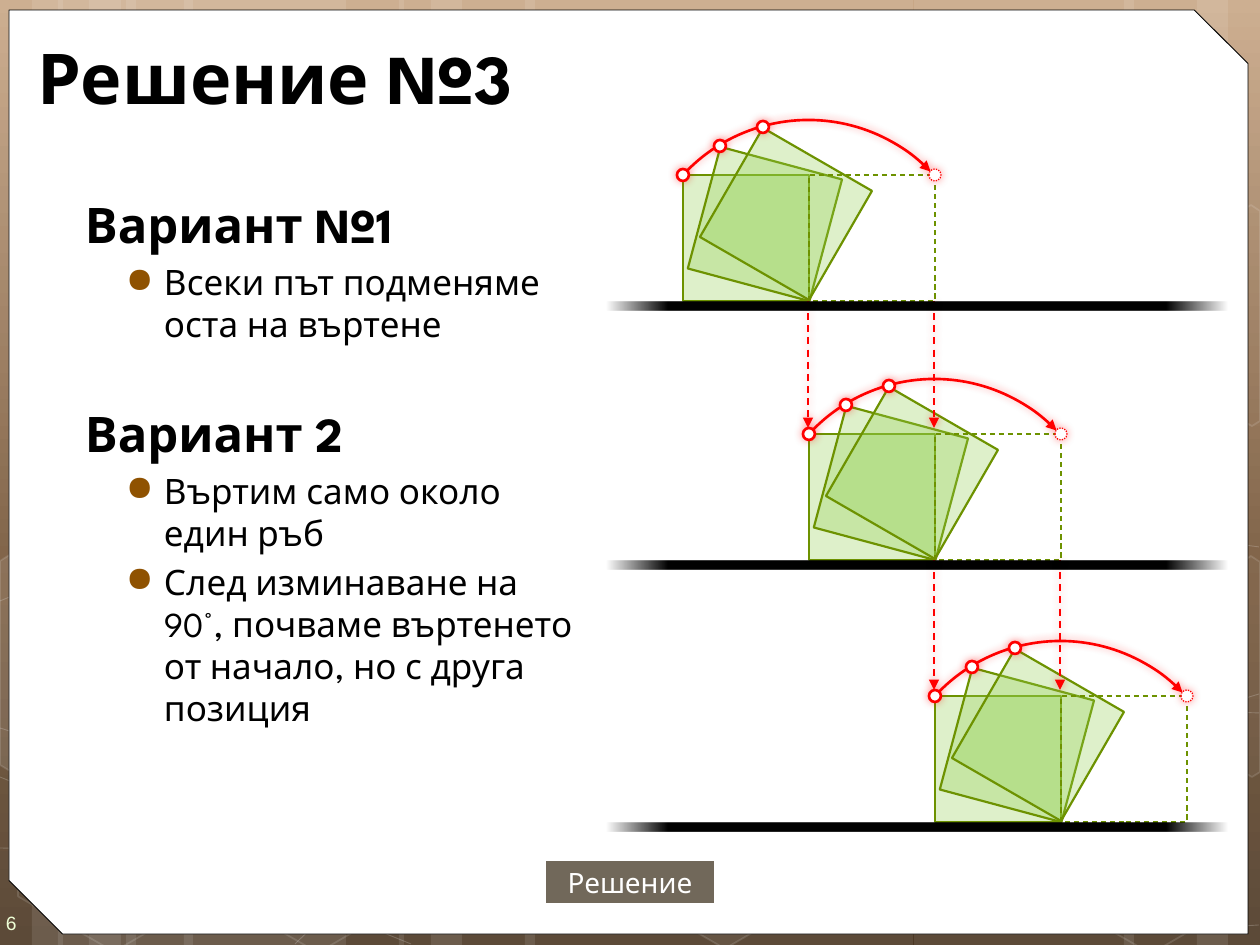
from lxml.etree import SubElement
from pptx import Presentation
from pptx.dml.color import RGBColor
from pptx.enum.dml import MSO_LINE as Dash
from pptx.enum.shapes import MSO_CONNECTOR, MSO_SHAPE as Kind
from pptx.enum.text import MSO_ANCHOR as Anchor, PP_ALIGN as Align
from pptx.oxml.ns import qn
from pptx.util import Pt

PX = 914400 / 126
WIDTH, HEIGHT = 1260, 945
FONT = "League Spartan"
BLACK, WHITE = RGBColor(0, 0, 0), RGBColor(255, 255, 255)
RED, OLIVE = RGBColor(255, 0, 0), RGBColor(0x6D, 0x92, 0)
GREEN, TAUPE = RGBColor(0x92, 0xD0, 0x50), RGBColor(0x71, 0x68, 0x5A)
BROWN, PALE = RGBColor(0x8F, 0x52, 0x01), RGBColor(0xEE, 0xFF, 0xD6)
SAND, BARK, UMBER = (RGBColor.from_string(c) for c in ("C8A685", "705032", "4A3622"))

TITLE = "Решение №3"
VARIANTS = [
    ("Вариант №1", ["Всеки път подменяме\vоста на въртене"]),
    ("Вариант 2", ["Въртим само около\vедин ръб",
                   "След изминаване на\v90°, почваме въртенето\vот начало, но с друга\vпозиция"]),
]
BUTTON = "Решение"
PAGE_NUMBER = "6"

# Backdrop: (left, width) of the strips, (left, top, opacity) of the hexagons
STRIPS = [(126, 220), (0, 63), (32, 104), (184, 220), (58, 63), (89, 104),
          (914, 220), (1197, 63), (1124, 104), (525, 388), (399, 63), (431, 104)]
HEXAGONS = [(615, 742, 6), (4, 745, 0), (208, 746, 0), (1041, 747, 0)]
CURVES = [
    [(0, 848), (229, 854), (567, 838), (987, 777), (1259, 694)],
    [(0, 601), (142, 543), (427, 488), (814, 488), (1259, 547)],
    [(0, 777), (411, 944)],
    [(0, 728), (151, 776), (438, 848), (781, 905), (1063, 927), (1181, 930), (1259, 925)],
    [(295, 944), (370, 871), (478, 805), (756, 728), (847, 717), (1106, 708), (1259, 713)],
]
LEFT_CUT = [(0, 561), (14, 552), (110, 607), (110, 718), (15, 774), (0, 765)]
RIGHT_CUT = [(1157, 611), (1251, 556), (1260, 562), (1260, 772), (1252, 777), (1155, 722)]
CUT_HEXAGONS = [(LEFT_CUT, 10), (RIGHT_CUT, 4), ([(x, y - 351) for x, y in RIGHT_CUT], 0)]

# Rolling square: top-left corner of each stage, then offsets from that corner
SIDE, DOT = 126, 12
STAGES = [(683 + SIDE * i, top) for i, top in enumerate((175, 434, 696))]
TILTS = [(0, 0, 0), (19, -14, 15), (40, -24, 30)]
CORNERS = [(0, 0), (37, -29), (80, -48)]


def emu(*lengths):
    return [round(length * PX) for length in lengths]


def set_alpha(color_parent, percent):
    SubElement(color_parent.find(".//" + qn("a:srgbClr")), qn("a:alpha"), val=str(percent * 1000))


def style(item, fill=None, line=None, weight=1, dash=None, opacity=100, line_opacity=100):
    if fill is None:
        item.fill.background()
    else:
        item.fill.solid()
        item.fill.fore_color.rgb = fill
        if opacity < 100:
            set_alpha(item.element.spPr.find(qn("a:solidFill")), opacity)
    style_line(item, line, weight, dash, line_opacity)
    item.shadow.inherit = False
    return item


def style_line(item, color, weight, dash=None, opacity=100):
    if color is None:
        item.line.fill.background()
        return
    item.line.color.rgb = color
    item.line.width = Pt(weight)
    if dash:
        item.line.dash_style = dash
    if opacity < 100:
        set_alpha(item.element.spPr.find(qn("a:ln")), opacity)


def add_box(shapes, kind, left, top, width, height, rotation=0, **look):
    item = shapes.add_shape(kind, *emu(left, top, width, height))
    item.rotation = rotation
    return style(item, **look)


def add_outline(shapes, points, close, **look):
    builder = shapes.build_freeform(*points[0], scale=PX)
    builder.add_line_segments(points[1:], close=close)
    return style(builder.convert_to_shape(), **look)


def add_glow(item):
    properties = item.element.spPr
    effects = properties.find(qn("a:effectLst"))
    if effects is None:
        effects = SubElement(properties, qn("a:effectLst"))
    glow = SubElement(effects, qn("a:outerShdw"), blurRad="63500", dist="0", dir="0", algn="ctr")
    SubElement(glow, qn("a:srgbClr"), val=str(RED))
    set_alpha(glow, 40)


def add_arrowhead(item, end):
    SubElement(item.element.spPr.find(qn("a:ln")), qn(end), type="triangle")


def make_gradient(solid, stops, angle):
    """Replace a solid fill element by stops of (position, colour, opacity)."""
    solid.tag, gradient = solid.tag, solid.makeelement(qn("a:gradFill"), rotWithShape="1")
    stop_list = SubElement(gradient, qn("a:gsLst"))
    for position, color, opacity in stops:
        stop = SubElement(stop_list, qn("a:gs"), pos=str(position * 1000))
        SubElement(stop, qn("a:srgbClr"), val=str(color))
        set_alpha(stop, opacity)
    SubElement(gradient, qn("a:lin"), ang=str(angle * 60000), scaled="0")
    solid.getparent().replace(solid, gradient)


def write(frame, text, size=20, color=BLACK, bold=False, font=FONT, align=Align.LEFT,
          before=0, margin=0, indent=0, bullet=None, first=True):
    paragraph = frame.paragraphs[0] if first else frame.add_paragraph()
    paragraph.text = text
    paragraph.alignment, paragraph.space_before = align, Pt(before)
    for run in paragraph.runs:
        run.font.size, run.font.bold, run.font.name = Pt(size), bold, font
        run.font.color.rgb = color
    properties = paragraph._p.get_or_add_pPr()
    properties.set("marL", str(emu(margin)[0]))
    properties.set("indent", str(emu(indent)[0]))
    if bullet:
        SubElement(SubElement(properties, qn("a:buClr")), qn("a:srgbClr"), val=str(BROWN))
        SubElement(properties, qn("a:buChar"), char=bullet)


def set_frame(item, anchor, *insets):
    frame = item.text_frame
    frame.word_wrap, frame.vertical_anchor = True, anchor
    frame.margin_left, frame.margin_top, frame.margin_right, frame.margin_bottom = emu(*insets)
    return frame


def add_text_box(shapes, left, top, width, height, anchor, *insets):
    return set_frame(shapes.add_textbox(*emu(left, top, width, height)), anchor, *insets)


def draw_backdrop(slide):
    slide.background.fill.solid()
    make_gradient(slide.element.find(".//" + qn("a:solidFill")),
                  [(0, SAND, 100), (62, BARK, 100), (100, UMBER, 100)], 90)
    for left, width in STRIPS:
        add_box(slide.shapes, Kind.RECTANGLE, left, 0, width, HEIGHT, fill=WHITE, opacity=10)
    for points in CURVES:
        add_outline(slide.shapes, points, False, line=WHITE, weight=0.5, line_opacity=20)
    for left, top, opacity in HEXAGONS:
        tile = add_box(slide.shapes, Kind.HEXAGON, left, top, 220, 192, 30, fill=WHITE,
                       opacity=opacity, line=WHITE, line_opacity=12)
        tile.adjustments[0] = 0.285
    for points, opacity in CUT_HEXAGONS:
        add_outline(slide.shapes, points, True, fill=WHITE, opacity=opacity,
                    line=WHITE, line_opacity=12)
    panel = add_box(slide.shapes, Kind.SNIP_2_DIAG_RECTANGLE, 9, 10, 1239, 924,
                    fill=WHITE, line=BLACK, weight=0.5)
    panel.adjustments[0], panel.adjustments[1] = 0, 0.058


def draw_texts(shapes):
    write(add_text_box(shapes, 0, 895, 73, 50, Anchor.MIDDLE, 6, 19, 0, 13),
          PAGE_NUMBER, size=11, color=PALE, font="Arial")
    write(add_text_box(shapes, 24, 32, 1193, 89, Anchor.MIDDLE, 13, 6, 13, 6),
          TITLE, size=40, bold=True)
    body = add_text_box(shapes, 63, 189, 1187, 746, Anchor.TOP, 13, 6, 13, 6)
    for number, (heading, points) in enumerate(VARIANTS):
        write(body, heading, size=28, bold=True, before=5.6 + 28 * number, margin=9,
              first=number == 0)
        for point in points:
            write(body, point, before=4, margin=88, indent=-38, bullet="●", first=False)
    button = add_box(shapes, Kind.RECTANGLE, 546, 861, 168, 42, fill=TAUPE)
    write(set_frame(button, Anchor.MIDDLE, 0, 6, 0, 6), BUTTON, size=16, color=WHITE,
          align=Align.CENTER)


def draw_stage(shapes, left, top):
    path_arc = add_box(shapes, Kind.ARC, left - 44, top - 55, 339, 336, line=RED, weight=1.5)
    path_arc.adjustments[0], path_arc.adjustments[1] = 134.18, 191.264
    path_arc.element.spPr.find(qn("a:xfrm")).set("flipH", "1")
    add_arrowhead(path_arc, "a:headEnd")
    add_glow(path_arc)
    for dx, dy, angle in TILTS:
        add_box(shapes, Kind.RECTANGLE, left + dx, top + dy, SIDE, SIDE, angle,
                fill=GREEN, opacity=30, line=OLIVE, weight=1.25)
    add_box(shapes, Kind.RECTANGLE, left + SIDE, top, SIDE, SIDE,
            line=OLIVE, weight=0.75, dash=Dash.DASH)
    dots = [(*corner, 1.5, None) for corner in CORNERS]
    for dx, dy, weight, dash in dots + [(2 * SIDE, 0, 0.75, Dash.ROUND_DOT)]:
        add_glow(add_box(shapes, Kind.OVAL, left + dx - DOT / 2, top + dy - DOT / 2, DOT, DOT,
                         fill=WHITE, line=RED, weight=weight, dash=dash))


def draw_rolling(shapes):
    for left, top in STAGES:
        draw_stage(shapes.add_group_shape().shapes, left, top)
    for (_, top), (next_left, next_top) in zip(STAGES, STAGES[1:]):
        for x in (next_left - 1, next_left + SIDE - 1):
            arrow = shapes.add_connector(MSO_CONNECTOR.STRAIGHT,
                                         *emu(x, top + SIDE, x, next_top - DOT / 2))
            style_line(arrow, RED, 1, Dash.DASH)
            add_arrowhead(arrow, "a:tailEnd")
            add_glow(arrow)
    for _, top in STAGES:
        ground = add_box(shapes, Kind.RECTANGLE, 607, top + SIDE + 1, 621, 8, fill=BLACK)
        make_gradient(ground.element.spPr.find(qn("a:solidFill")),
                      [(0, BLACK, 0), (10, BLACK, 100), (90, BLACK, 100), (100, BLACK, 0)], 0)


def main():
    deck = Presentation()
    deck.slide_width, deck.slide_height = emu(WIDTH, HEIGHT)
    slide = deck.slides.add_slide(deck.slide_layouts[6])
    draw_backdrop(slide)
    draw_texts(slide.shapes)
    draw_rolling(slide.shapes)
    deck.save("out.pptx")


if __name__ == "__main__":
    main()
